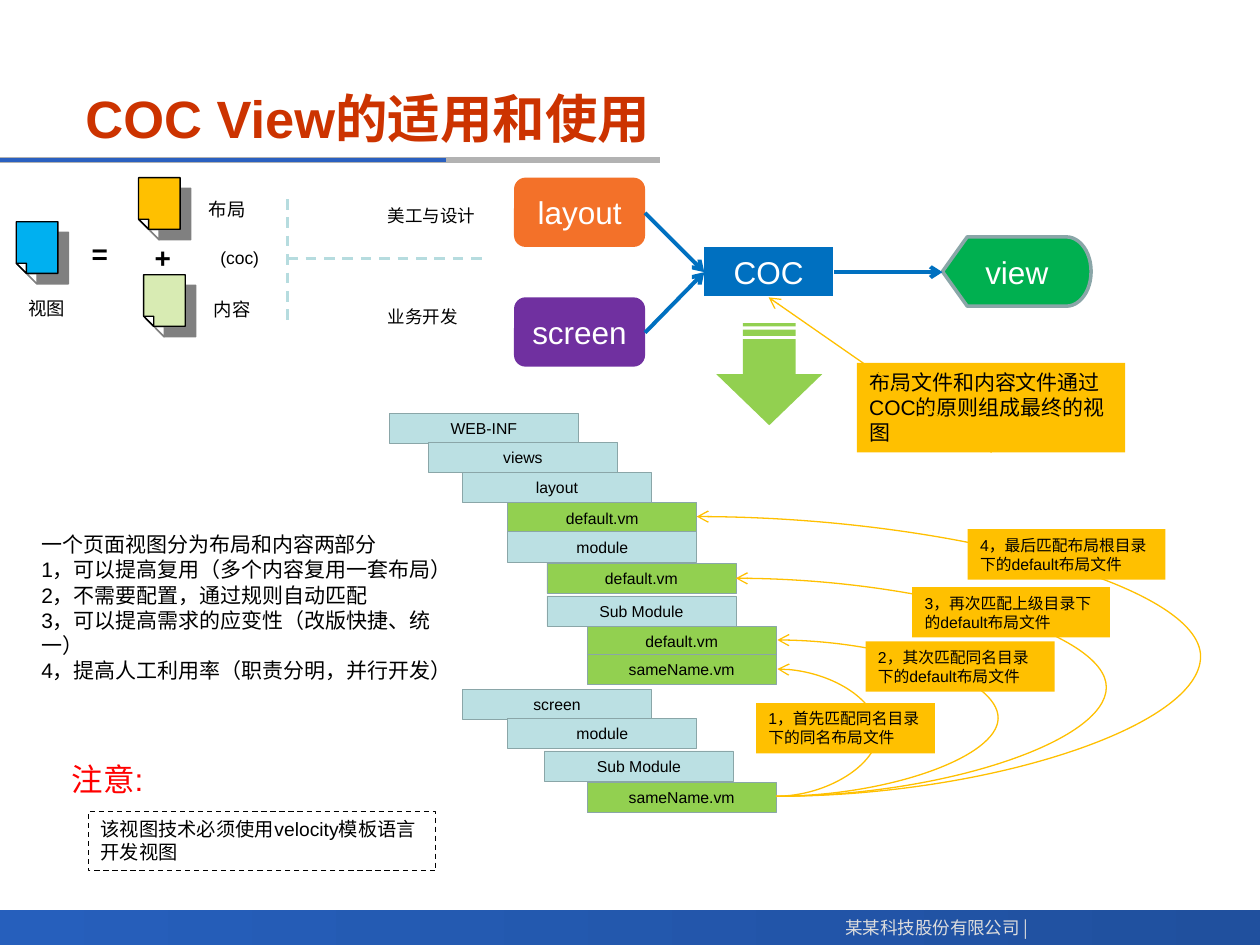
from lxml.etree import SubElement
from pptx import Presentation
from pptx.dml.color import RGBColor
from pptx.enum.dml import MSO_LINE
from pptx.enum.shapes import MSO_CONNECTOR, MSO_SHAPE
from pptx.enum.text import MSO_ANCHOR, PP_ALIGN
from pptx.oxml.ns import qn
from pptx.util import Inches, Pt

HUES = {
    "black": "000000", "white": "FFFFFF", "title": "CC3300", "red": "FF0000",
    "navy": "20509E", "royal": "265FBC", "rule": "2A60C0", "silver": "B2B2B2",
    "pale": "DDDDDD", "orange": "F37129", "purple": "7030A0", "blue": "0070C0",
    "green": "00B050", "lime": "92D050", "gold": "FFC000", "aqua": "BBE0E3",
    "edge": "8AA6A8", "dash": "B6DCDF", "sky": "00B0F0", "mint": "D8EBB3",
    "shade": "808080",
}


def hue(name):
    return RGBColor.from_string(HUES[name])


def write(frame, text, size=12, color="black", bold=False, align="LEFT",
          anchor="TOP", wrap=True, font="Arial"):
    """Fill a text frame, one paragraph for each line of text."""
    frame.word_wrap = wrap
    frame.vertical_anchor = MSO_ANCHOR[anchor]
    for i, line in enumerate(text.split("\n")):
        para = frame.add_paragraph() if i else frame.paragraphs[0]
        para.alignment = PP_ALIGN[align]
        run = para.add_run()
        run.text = line
        run.font.name = font
        run.font.size = Pt(size)
        run.font.bold = bold
        run.font.color.rgb = hue(color)
        props = run._r.get_or_add_rPr()
        SubElement(props, qn("a:ea"), typeface="Noto Sans CJK SC")


class Board:
    """Holds the slide and the shared look of its elements."""

    def __init__(self, slide):
        self.slide = slide
        self.shapes = slide.shapes

    def paint(self, shape, fill=None, edge=None, width=0.75, dash=False):
        shape.shadow.inherit = False
        if fill:
            shape.fill.solid()
            shape.fill.fore_color.rgb = hue(fill)
        else:
            shape.fill.background()
        if edge:
            shape.line.color.rgb = hue(edge)
            shape.line.width = Pt(width)
            if dash:
                shape.line.dash_style = MSO_LINE.DASH
        else:
            shape.line.fill.background()
        return shape

    def box(self, at, fill=None, text="", kind="RECTANGLE", edge=None,
            width=0.75, dash=False, **style):
        shape = self.shapes.add_shape(MSO_SHAPE[kind], *map(Inches, at))
        self.paint(shape, fill, edge, width, dash)
        if text:
            write(shape.text_frame, text, **style)
        return shape

    def node(self, at, fill, text, size=18, color="white", **look):
        self.box(at, fill, text, size=size, color=color, align="CENTER",
                 anchor="MIDDLE", **look)

    def text(self, at, text, wrap=False, **style):
        shape = self.shapes.add_textbox(*map(Inches, at))
        write(shape.text_frame, text, wrap=wrap, **style)

    def line(self, start, end, color, width=0.75, dash=False, arrow=False,
             bend=None):
        """Draw a line; bend is the x that a curve swings out to."""
        kind = MSO_CONNECTOR.STRAIGHT if bend is None else MSO_CONNECTOR.CURVE
        link = self.shapes.add_connector(kind, *map(Inches, start + end))
        link.line.color.rgb = hue(color)
        link.line.width = Pt(width)
        if dash:
            link.line.dash_style = MSO_LINE.DASH
        if arrow:
            SubElement(link.line._get_or_add_ln(), qn("a:tailEnd"), type="arrow")
        props = link._element.spPr
        SubElement(props, qn("a:effectLst"))
        if bend is not None:
            ratio = (bend - start[0]) / (end[0] - start[0])
            geom = props.find(qn("a:prstGeom"))
            guides = geom.find(qn("a:avLst"))
            if guides is None:
                guides = SubElement(geom, qn("a:avLst"))
            SubElement(guides, qn("a:gd"), name="adj1",
                       fmla=f"val {round(ratio * 100000)}")

    def sheet(self, x, y, fill):
        """Draw a paper sheet with a folded corner and a hard shadow."""
        wide, high, fold = 0.33, 0.41, 0.08
        left, right = Inches(x), Inches(x + wide)
        top, base = Inches(y), Inches(y + high)
        inner, crease = Inches(x + fold), Inches(y + high - fold)
        pen = self.shapes.build_freeform(left, top)
        pen.add_line_segments([(right, top), (right, base), (inner, base),
                               (left, crease)])
        pen.move_to(left, crease)
        pen.add_line_segments([(inner, crease), (inner, base)])
        shape = self.paint(pen.convert_to_shape(), fill, "black")
        effect = shape._element.spPr.find(qn("a:effectLst"))
        cast = SubElement(effect, qn("a:outerShdw"), dist=str(Pt(8.5)),
                          dir="2700000", algn="ctr", rotWithShape="0")
        SubElement(cast, qn("a:srgbClr"), val=HUES["shade"])


def frame(board):
    foot = board.box((0, 7.22, 10, 0.28), "royal")
    foot.fill.gradient()
    foot.fill.gradient_angle = 0
    for stop, name in zip(foot.fill.gradient_stops, ("royal", "navy")):
        stop.color.rgb = hue(name)
    board.line((0, 1.27), (5.24, 1.27), "silver", 3)
    board.line((0, 1.27), (3.54, 1.27), "rule", 2.25)
    board.text((6.51, 7.23, 1.75, 0.27), "某某科技股份有限公司 |", size=10,
               color="pale", align="RIGHT", font="Noto Sans CJK SC")
    board.text((0.58, 0.6, 6.92, 0.67), "COC View的适用和使用", wrap=True,
               size=30, color="title", bold=True, anchor="MIDDLE")


def flow(board):
    for y, fill, name in ((1.41, "orange", "layout"), (2.36, "purple", "screen")):
        board.node((4.08, y, 1.04, 0.55), fill, name, kind="ROUNDED_RECTANGLE")
        board.line((5.12, y + 0.28), (5.59, 2.16), "blue", 2.25, arrow=True)
    board.node((5.59, 1.96, 1.02, 0.39), "blue", "COC", kind="FLOWCHART_PROCESS")
    board.node((7.48, 1.88, 1.18, 0.55), "green", "view",
               kind="FLOWCHART_DISPLAY", edge="edge", width=2)
    board.line((6.62, 2.16), (7.48, 2.16), "blue", 2.25, arrow=True)
    board.box((6.8, 2.88, 2.13, 0.71), "gold",
              "布局文件和内容文件通过COC的原则组成最终的视图")
    board.line((7.87, 3.59), (6.1, 2.36), "gold", arrow=True)
    board.box((5.7, 2.55, 0.81, 0.84), "lime",
              kind="STRIPED_RIGHT_ARROW").rotation = 90


def tree(board):
    rows = [
        (3.09, 3.28, "WEB-INF"), (3.4, 3.51, "views"), (3.67, 3.75, "layout"),
        (4.03, 3.99, "default.vm"), (4.03, 4.22, "module"),
        (4.34, 4.47, "default.vm"), (4.34, 4.73, "Sub Module"),
        (4.66, 4.97, "default.vm"), (4.66, 5.19, "sameName.vm"),
        (3.67, 5.47, "screen"), (4.03, 5.7, "module"),
        (4.32, 5.96, "Sub Module"), (4.66, 6.21, "sameName.vm"),
    ]
    for x, y, name in rows:
        fill = "lime" if name.endswith(".vm") else "aqua"
        board.node((x, y, 1.5, 0.24), fill, name, size=9, color="black",
                   edge="edge", width=0.25)
    for x, y, bend in ((6.17, 5.31, 6.98), (6.17, 5.08, 7.95),
                       (5.84, 4.59, 8.78), (5.53, 4.1, 9.53)):
        board.line((6.16, 6.32), (x, y), "gold", arrow=True, bend=bend)
    steps = [
        (6, 5.58, 1.42, "1，首先匹配同名目录下的同名布局文件"),
        (6.87, 5.09, 1.5, "2，其次匹配同名目录下的default布局文件"),
        (7.24, 4.66, 1.57, "3，再次匹配上级目录下的default布局文件"),
        (7.68, 4.2, 1.57, "4，最后匹配布局根目录下的default布局文件"),
    ]
    for x, y, wide, step in steps:
        board.box((x, y, wide, 0.4), "gold", step, size=9)


def parts(board):
    for x, y, fill in ((0.13, 1.76, "sky"), (1.1, 1.41, "gold"),
                       (1.14, 2.18, "mint")):
        board.sheet(x, y, fill)
    for x, y, name in ((0.13, 2.31, "视图"), (1.56, 1.52, "布局"),
                       (1.6, 2.32, "内容")):
        board.text((x, y, 0.5, 0.28), name, size=10.5)
    for x, y, sign in ((0.63, 1.83, "="), (1.13, 1.86, "+")):
        board.text((x, y, 0.33, 0.37), sign, size=16, bold=True)
    for x, y, wide, name in ((1.65, 1.91, 0.51, "(coc)"),
                             (2.98, 1.58, 0.9, "美工与设计"),
                             (2.98, 2.38, 0.76, "业务开发")):
        board.text((x, y, wide, 0.27), name, size=10)
    board.line((2.28, 1.58), (2.28, 2.6), "dash", 1.5, dash=True)
    board.line((2.28, 2.05), (3.86, 2.05), "dash", 1.5, dash=True)


def notes(board):
    board.text((0.23, 4.17, 3.6, 1.11), "\n".join((
        "一个页面视图分为布局和内容两部分",
        "1，可以提高复用（多个内容复用一套布局）",
        "2，不需要配置，通过规则自动匹配",
        "3，可以提高需求的应变性（改版快捷、统一）",
        "4，提高人工利用率（职责分明，并行开发）")), wrap=True)
    board.box((0.7, 6.44, 2.76, 0.47), None,
              "该视图技术必须使用velocity模板语言开发视图",
              edge="black", dash=True, size=11)
    board.text((0.47, 5.98, 0.78, 0.4), "注意:", size=18, color="red")


def main():
    deck = Presentation()
    deck.slide_width, deck.slide_height = Inches(10), Inches(7.5)
    board = Board(deck.slides.add_slide(deck.slide_layouts[6]))
    for draw in (frame, flow, tree, parts, notes):
        draw(board)
    deck.save("out.pptx")


if __name__ == "__main__":
    main()
